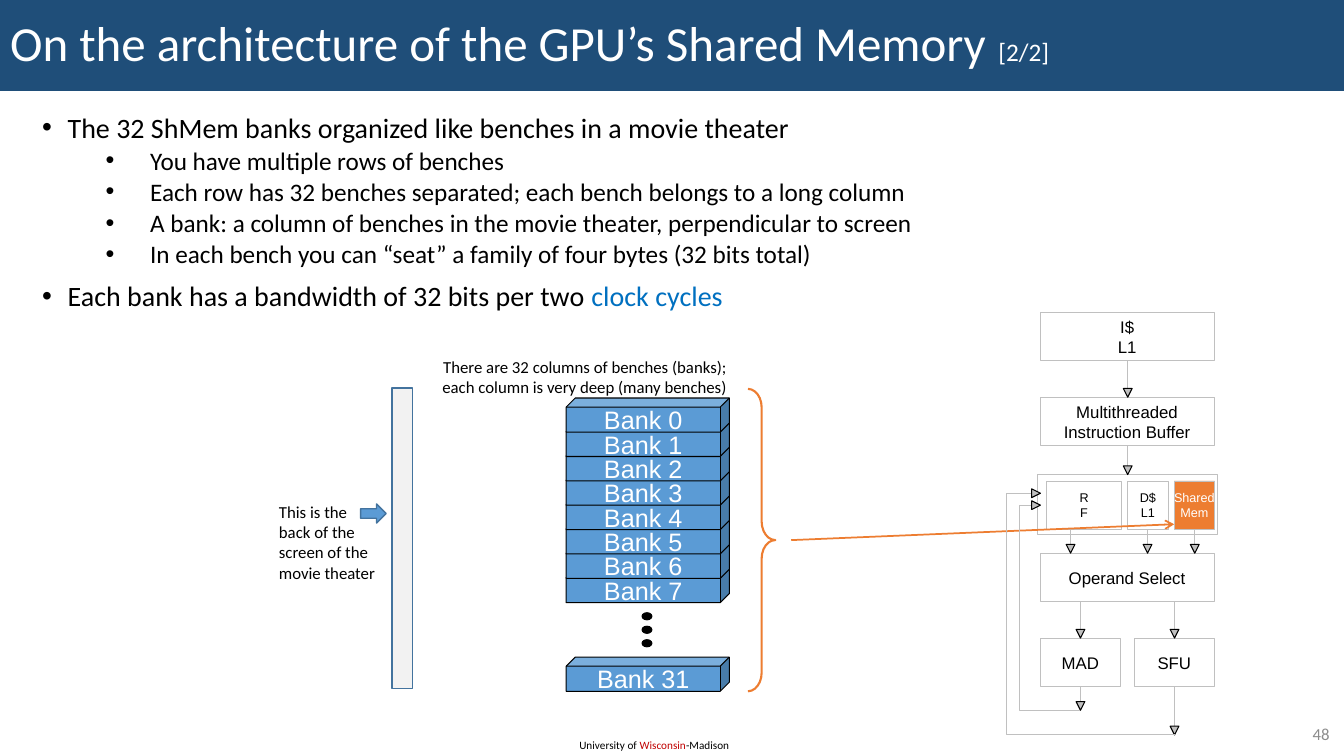
"""Build the slide on the banks of the GPU's shared memory."""
from lxml import etree
from pptx import Presentation
from pptx import util as u
from pptx.dml import color as c
from pptx.enum import shapes, text
from pptx.oxml import ns

LEFT, CENTER, RIGHT = text.PP_ALIGN.LEFT, text.PP_ALIGN.CENTER, text.PP_ALIGN.RIGHT
TOP, MIDDLE = text.MSO_ANCHOR.TOP, text.MSO_ANCHOR.MIDDLE
KIND = shapes.MSO_SHAPE
BLACK, WHITE, GRAY, ORANGE, BLUE = "000000", "FFFFFF", "C0C0C0", "ED7D31", "5B9BD5"


def paint(fill, value):
    if value:
        fill.solid()
        fill.fore_color.rgb = c.RGBColor.from_string(value)
    else:
        fill.background()


def write(frame, words, size=12, color=BLACK, face="Calibri", align=LEFT, join=False):
    for line in words.split("\n"):
        para = frame.paragraphs[-1]
        if para.runs and not join:
            para = frame.add_paragraph()
        para.alignment = align
        span = para.add_run()
        span.text = line
        span.font.size = u.Pt(size)
        span.font.name = face
        paint(span.font.fill, color)
    return para


deck = Presentation()
deck.slide_width, deck.slide_height = u.Cm(33.87), u.Cm(19.05)
page = deck.slides.add_slide(deck.slide_layouts[1])
title, body = page.placeholders
for holder, place in ((title, (0, 0, 33.87, 2.29)), (body, (0.81, 2.82, 22.86, 11.96))):
    holder.left, holder.top, holder.width, holder.height = map(u.Cm, place)
    holder.text_frame.auto_size = text.MSO_AUTO_SIZE.NONE

paint(title.fill, "1F4E79")
title.text_frame.vertical_anchor = MIDDLE
write(title.text_frame, "On the architecture of the GPU’s Shared Memory ", size=35, color=WHITE)
heading = write(title.text_frame, "[2/2]", size=18, color=WHITE, join=True)
heading.line_spacing = 0.9

points = [
    (0, "The 32 ShMem banks organized like benches in a movie theater"),
    (1, "You have multiple rows of benches"),
    (1, "Each row has 32 benches separated; each bench belongs to a long column"),
    (1, "A bank: a column of benches in the movie theater, perpendicular to screen"),
    (1, "In each bench you can “seat” a family of four bytes (32 bits total)"),
    (0, "Each bank has a bandwidth of 32 bits per two "),
]
for order, (level, words) in enumerate(points):
    para = write(body.text_frame, words, size=18 if level else 20)
    para.level = level
    para.line_spacing = 0.8
    para.space_before = u.Pt((5 if level else 10) if order else 0)
    margin, indent = (2.72, -1.12) if level else (0.64, -0.64)
    props = para._p.get_or_add_pPr()
    props.set("marL", str(u.Cm(margin)))
    props.set("indent", str(u.Cm(indent)))
    etree.SubElement(props, ns.qn("a:buFont"), typeface="Arial")
    etree.SubElement(props, ns.qn("a:buChar"), char="•")
para.line_spacing = 0.9
write(body.text_frame, "clock cycles", size=20, color="0070C0", join=True)

blocks = [
    (26.14, 11.96, 4.55, 1.52, WHITE, "", 12),
    (26.21, 7.87, 4.39, 1.22, WHITE, "I$\nL1", 12),
    (26.21, 10.01, 4.39, 1.22, WHITE, "Multithreaded\nInstruction Buffer", 12),
    (26.37, 12.12, 1.9, 1.22, WHITE, "R\nF", 9),
    (28.42, 12.12, 1.02, 1.22, WHITE, "D$\nL1", 9),
    (29.59, 12.12, 1.02, 1.22, ORANGE, "Shared\nMem", 9),
    (26.21, 13.94, 4.39, 1.22, WHITE, "Operand Select", 12),
    (26.21, 16.08, 2.03, 1.22, WHITE, "MAD", 12),
    (28.58, 16.08, 2.03, 1.22, WHITE, "SFU", 12),
]
drawings = [(KIND.RECTANGLE, place, fill, GRAY, 0.63, [], words, size,
             WHITE if fill == ORANGE else BLACK)
            for *place, fill, words, size in blocks]
banks = [(31, 16.56)] + [(bank, 10.03 + 0.614 * bank) for bank in range(7, -1, -1)]
drawings += [(KIND.CUBE, (14.27, top, 4.11, 0.86), BLUE, BLACK, 0.75, [0.266],
              f"Bank {bank}", 18, WHITE) for bank, top in banks]
drawings += [(KIND.OVAL, (16.18, 15.44 + 0.34 * dot, 0.25, 0.18), BLACK, BLACK, 0.75,
              [], "", 12, BLACK) for dot in range(3)]
drawings += [
    (KIND.RECTANGLE, (9.88, 9.78, 0.51, 7.57), "F2F2F2", "43739E", 1, [], "", 12, BLACK),
    (KIND.RIGHT_BRACE, (18.85, 9.8, 0.69, 7.62), None, ORANGE, 1.5, [0.679, 0.5], "", 12, BLACK),
    (KIND.RIGHT_ARROW, (9.09, 12.7, 0.64, 0.48), BLUE, "43739E", 1, [], "", 12, BLACK),
]
for kind, place, fill, line, weight, bends, words, size, color in drawings:
    shape = page.shapes.add_shape(kind, *map(u.Cm, place))
    shape.shadow.inherit = False
    paint(shape.fill, fill)
    paint(shape.line.fill, line)
    shape.line.width = u.Pt(weight)
    for order, bend in enumerate(bends):
        shape.adjustments[order] = bend
    if words:
        frame = shape.text_frame
        frame.word_wrap = False
        frame.vertical_anchor = MIDDLE
        frame.margin_left = frame.margin_right = frame.margin_top = frame.margin_bottom = 0
        write(frame, words, size=size, color=color, face="Arial", align=CENTER)

drops = [(28.42, 9.09, 10.01), (28.42, 11.22, 11.96)]
drops += [(x, 13.34, 13.94) for x in (26.98, 28.92, 30.11)]
drops += [(x, 15.17, 16.08) for x in (27.23, 29.6)]
drops += [(27.23, 17.3, 17.9), (29.6, 17.3, 18.52)]
links = [(x, start, x, tip - 0.17, GRAY, 0.63) for x, start, tip in drops]
links.append((19.94, 13.61, 29.59, 13.21, ORANGE, 1.25))
for *ends, color, weight in links:
    link = page.shapes.add_connector(shapes.MSO_CONNECTOR.STRAIGHT, *map(u.Cm, ends))
    paint(link.line.fill, color)
    link.line.width = u.Pt(weight)
    etree.SubElement(link.element.spPr, ns.qn("a:effectLst"))
etree.SubElement(link.element.spPr.find(ns.qn("a:ln")), ns.qn("a:tailEnd"), type="arrow")

outlines = [([(x, y), (x - 0.11, y - 0.22), (x + 0.11, y - 0.22)], True) for x, _, y in drops]
for x, bottom, left, top in ((27.23, 17.9, 25.68, 12.73), (29.6, 18.52, 25.37, 12.43)):
    outlines.append(([(x, bottom), (left, bottom), (left, top), (26.06, top)], False))
    outlines.append(([(26.22, top), (26, top + 0.11), (26, top - 0.11)], True))
for corners, is_head in outlines:
    start, *rest = [(u.Cm(x), u.Cm(y)) for x, y in corners]
    builder = page.shapes.build_freeform(*start)
    builder.add_line_segments(rest, close=is_head)
    outline = builder.convert_to_shape()
    outline.shadow.inherit = False
    paint(outline.fill, GRAY if is_head else None)
    paint(outline.line.fill, BLACK if is_head else GRAY)
    outline.line.width = u.Pt(0 if is_head else 0.63)

labels = [
    ((6.78, 12.52, 3, 2.31), TOP, LEFT,
     [("This is the\nback of the\nscreen of the\nmovie theater", 12, BLACK)]),
    ((10.82, 8.86, 7.75, 1.27), TOP, RIGHT,
     [("There are 32 columns of benches (banks);\n"
       "each column is very deep (many benches)", 12, BLACK)]),
    ((31.83, 18.11, 1.93, 0.74), MIDDLE, RIGHT, [("48", 12, "8C8C8C")]),
    ((14.35, 18.49, 4.4, 0.61), TOP, LEFT,
     [("University of ", 8, BLACK), ("Wisconsin", 8, "C00000"), ("-Madison", 8, BLACK)]),
]
for place, anchor, align, spans in labels:
    frame = page.shapes.add_textbox(*map(u.Cm, place)).text_frame
    frame.word_wrap = True
    frame.vertical_anchor = anchor
    for order, (words, size, color) in enumerate(spans):
        write(frame, words, size=size, color=color, align=align, join=order > 0)

deck.save("out.pptx")
